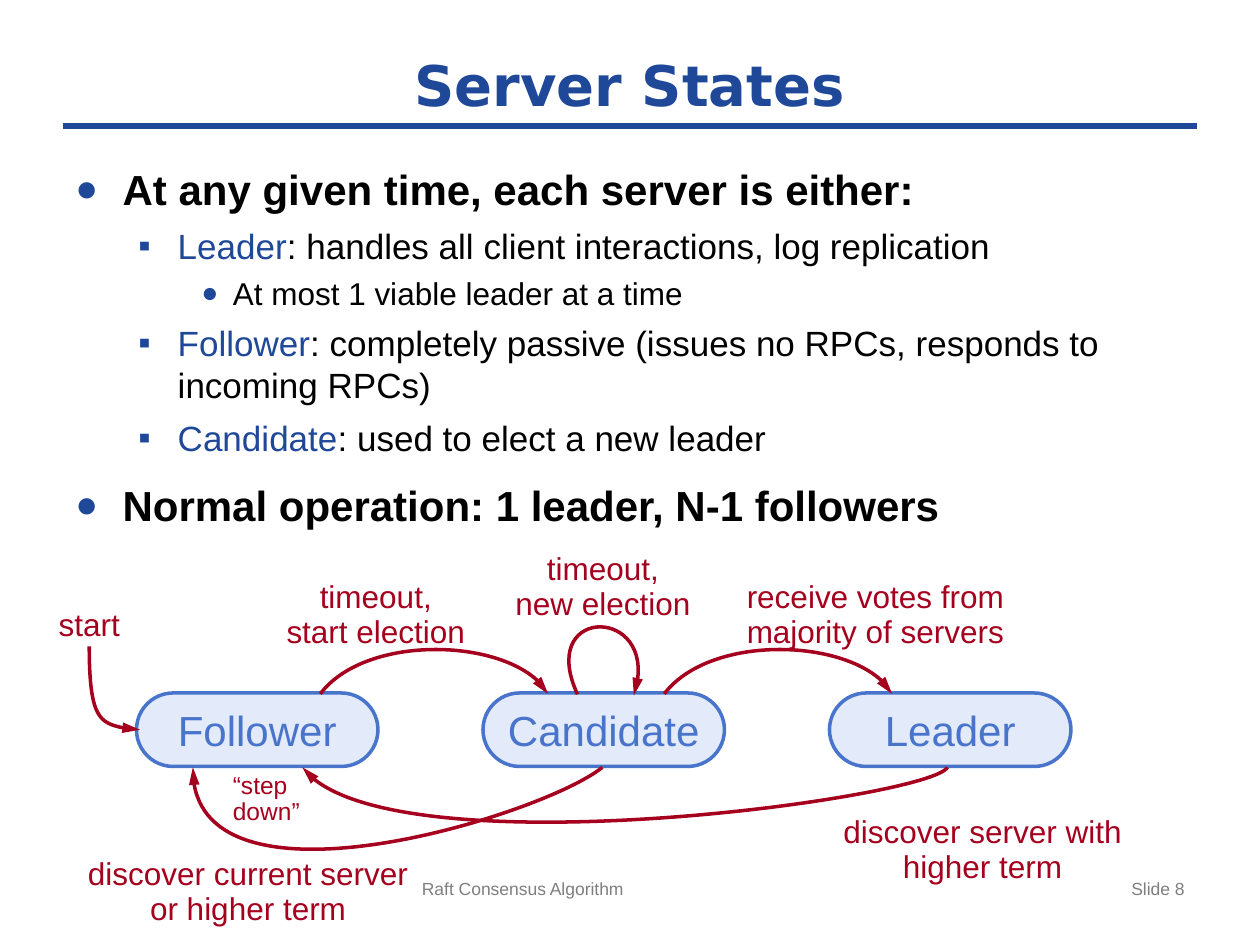
from lxml import etree
from pptx import Presentation
from pptx.dml.color import RGBColor
from pptx.enum import shapes, text
from pptx.oxml import ns
from pptx.util import Pt

NAVY, RED, BLUE, PALE, GREY = "1F4899", "A5001E", "4974CB", "E3EAF9", "7F7F7F"
BLACK, WHITE = "000000", "FFFFFF"
CENTER = text.PP_ALIGN.CENTER


def rgb(color):
    return RGBColor.from_string(color)


def add_run(paragraph, words, size, color, bold=False, font="Arial"):
    run = paragraph.add_run()
    run.text = words
    run.font.name, run.font.size, run.font.bold = font, Pt(size), bold
    run.font.color.rgb = rgb(color)


prs = Presentation()
prs.slide_width, prs.slide_height = Pt(720), Pt(540)
slide = prs.slides.add_slide(prs.slide_layouts[5])

# Title and rule
title = slide.shapes.title
title.left, title.top, title.width, title.height = Pt(36), Pt(24), Pt(648), Pt(48)
title.text_frame.vertical_anchor = text.MSO_ANCHOR.MIDDLE
title.text_frame.paragraphs[0].alignment = CENTER
add_run(title.text_frame.paragraphs[0], "Server States", 32, NAVY, True, "DejaVu Sans")

rule = slide.shapes.add_connector(shapes.MSO_CONNECTOR.STRAIGHT, Pt(36), Pt(72), Pt(684), Pt(72))
rule.line.color.rgb, rule.line.width = rgb(NAVY), Pt(4)
etree.SubElement(rule._element.spPr, ns.qn("a:effectLst"))

# Bulleted text: per level the margin, hanging indent, space before, size, bullet, bullet size
levels = [(27, 27, 12, 24, "●", 90), (58.5, 22.5, 6, 20, "▪", 100), (90, 18, 4, 18, "●", 90)]
points = [
    (0, "", "At any given time, each server is either:"),
    (1, "Leader", ": handles all client interactions, log replication"),
    (2, "", "At most 1 viable leader at a time"),
    (1, "Follower", ": completely passive (issues no RPCs, responds to incoming RPCs)"),
    (1, "Candidate", ": used to elect a new leader"),
    (0, "", "Normal operation: 1 leader, N-1 followers"),
]
body = slide.shapes.add_textbox(Pt(36), Pt(90), Pt(648), Pt(252)).text_frame
body.word_wrap = True
for i, (level, term, words) in enumerate(points):
    margin, hang, before, size, bullet, percent = levels[level]
    paragraph = body.add_paragraph() if i else body.paragraphs[0]
    paragraph.level, paragraph.space_before = level, Pt(before)
    props = paragraph._p.get_or_add_pPr()
    props.set("marL", str(Pt(margin)))
    props.set("indent", str(-Pt(hang)))
    bullet_color = etree.SubElement(props, ns.qn("a:buClr"))
    etree.SubElement(bullet_color, ns.qn("a:srgbClr"), val=NAVY)
    etree.SubElement(props, ns.qn("a:buSzPct"), val=str(percent * 1000))
    etree.SubElement(props, ns.qn("a:buFont"), typeface="Arial")
    etree.SubElement(props, ns.qn("a:buChar"), char=bullet)
    if term:
        add_run(paragraph, term, size, NAVY)
    add_run(paragraph, words, size, BLACK, level == 0)

# Footer
footers = [(234, 270, "Raft Consensus Algorithm", text.PP_ALIGN.LEFT),
           (516, 168, "Slide 8", text.PP_ALIGN.RIGHT)]
for left, width, words, align in footers:
    footer = slide.shapes.add_textbox(Pt(left), Pt(498), Pt(width), Pt(31)).text_frame
    footer.word_wrap = True
    footer.paragraphs[0].alignment = align
    add_run(footer.paragraphs[0], words, 10, GREY)

# Server states
for i, name in enumerate(["Follower", "Candidate", "Leader"]):
    state = slide.shapes.add_shape(shapes.MSO_SHAPE.ROUNDED_RECTANGLE,
                                   Pt(78 + 198 * i), Pt(396), Pt(138), Pt(42))
    state.adjustments[0] = 0.5
    state.shadow.inherit = False
    state.fill.solid()
    state.fill.fore_color.rgb = rgb(PALE)
    state.line.color.rgb, state.line.width = rgb(BLUE), Pt(2)
    state.text_frame.vertical_anchor = text.MSO_ANCHOR.MIDDLE
    state.text_frame.paragraphs[0].alignment = CENTER
    add_run(state.text_frame.paragraphs[0], name, 24, BLUE)

# Transitions: start, two control points, end of each cubic curve
promotion = [(183, 396.5), (208, 363.6), (295.2, 364.3), (313.2, 396.5)]
transitions = [
    [(51, 369.4), (51, 410.4), (60, 416.2), (80, 417)],
    promotion,
    [(x + 196.6, y) for x, y in promotion],
    [(330, 396.7), (307.4, 347.8), (378.7, 345.6), (362.2, 397.4)],
    [(344.2, 438.5), (311.8, 465), (108.7, 528.5), (110.2, 438.5)],
    [(541.4, 438.5), (532, 455.8), (218.2, 499), (172.8, 438.5)],
]
STEPS = 40
for controls in transitions:
    # Points along the curve give the outline its tight bounds
    trace = []
    for step in range(STEPS + 1):
        t = step / STEPS
        weights = ((1 - t) ** 3, 3 * t * (1 - t) ** 2, 3 * t * t * (1 - t), t ** 3)
        trace.append([Pt(sum(w * point[axis] for w, point in zip(weights, controls)))
                      for axis in (0, 1)])
    builder = slide.shapes.build_freeform(*trace[0])
    builder.add_line_segments(trace[1:], close=False)
    arrow = builder.convert_to_shape()
    # One smooth Bézier segment takes the place of the straight ones
    outline = arrow._element.find(".//" + ns.qn("a:path"))
    for segment in outline.findall(ns.qn("a:lnTo")):
        outline.remove(segment)
    curve = etree.SubElement(outline, ns.qn("a:cubicBezTo"))
    for x, y in controls[1:]:
        etree.SubElement(curve, ns.qn("a:pt"), x=str(Pt(x) - arrow.left), y=str(Pt(y) - arrow.top))
    arrow.shadow.inherit = False
    arrow.fill.background()
    arrow.line.color.rgb, arrow.line.width = rgb(RED), Pt(2)
    etree.SubElement(arrow.line._get_or_add_ln(), ns.qn("a:tailEnd"),
                     type="triangle", w="med", len="lg")

# Transition labels: left, top, width, height, size, line spacing, lines
labels = [
    (26, 342, 50, 29, 18, None, ["start"]),
    (156, 327.6, 117.5, 47.5, 18, 20, ["timeout,", "start election"]),
    (419, 327.6, 162.5, 47.5, 18, 20, ["receive votes from", "majority of servers"]),
    (287, 311.8, 115, 47.5, 18, 20, ["timeout,", "new election"]),
    (474, 462, 175, 47.5, 18, 20, ["discover server with", "higher term"]),
    (42, 486, 199.5, 47.5, 18, 20, ["discover current server", "or higher term"]),
    (126, 438, 52.5, 37.5, 14, 15, ["“step", "down”"]),
]
for left, top, width, height, size, spacing, lines in labels:
    label = slide.shapes.add_textbox(Pt(left), Pt(top), Pt(width), Pt(height)).text_frame
    label.word_wrap = False
    label.auto_size = text.MSO_AUTO_SIZE.SHAPE_TO_FIT_TEXT
    paragraph = label.paragraphs[0]
    paragraph.alignment = CENTER if size == 18 else text.PP_ALIGN.LEFT
    if spacing:
        paragraph.line_spacing = Pt(spacing)
    for i, line in enumerate(lines):
        if i:
            paragraph.add_line_break()
        add_run(paragraph, line, size, RED)

prs.save("out.pptx")
